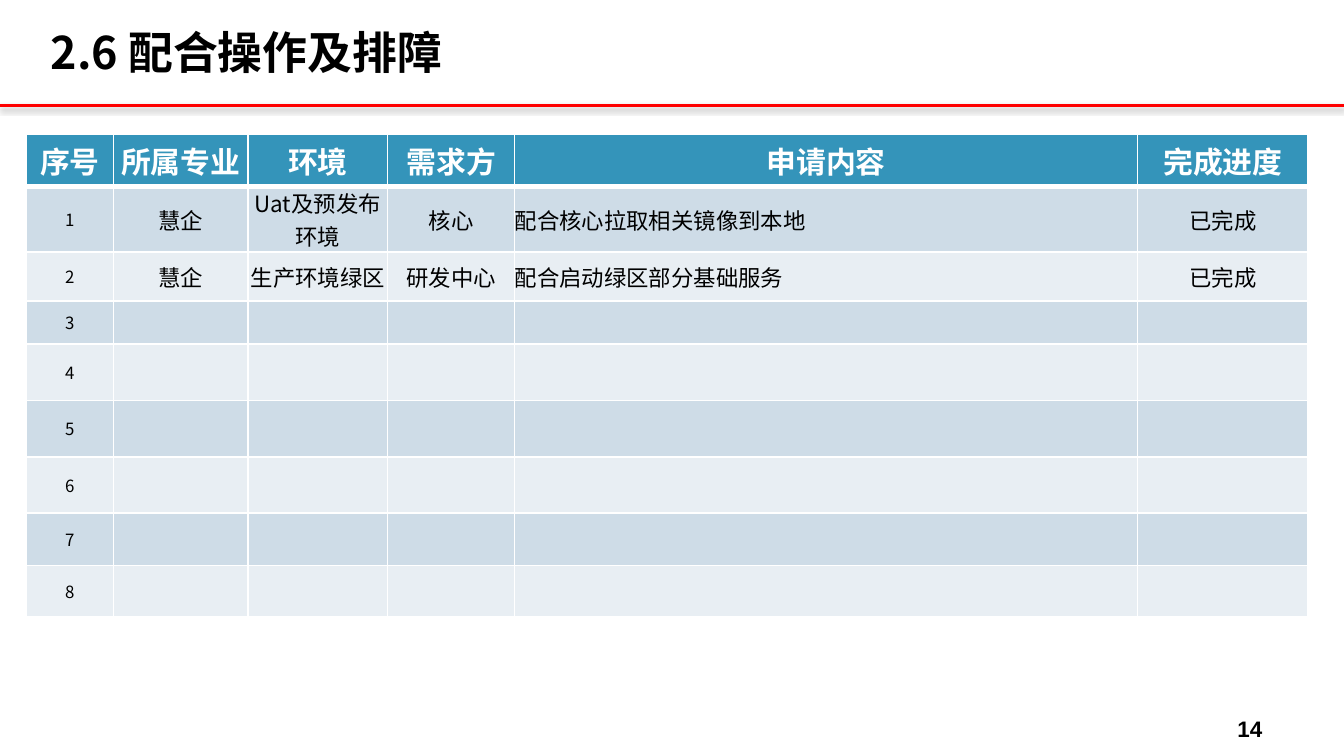
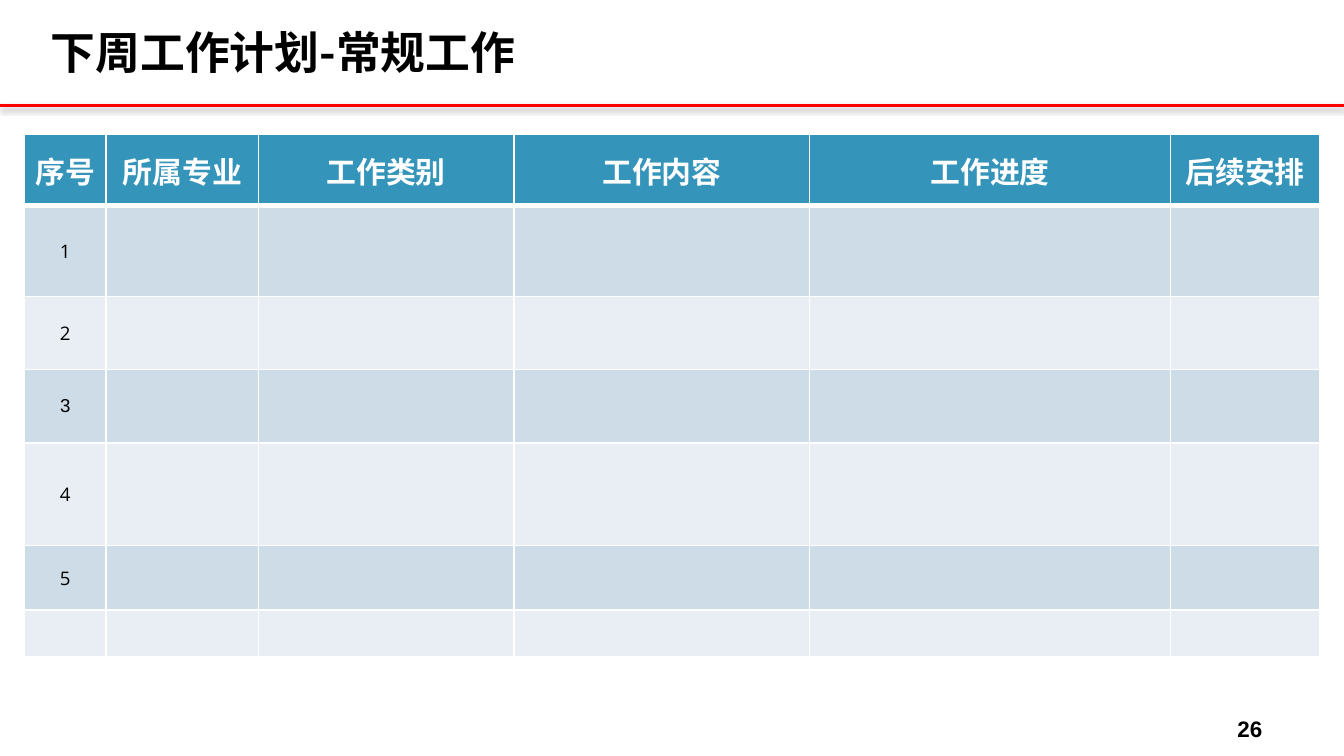
from dataclasses import dataclass

from lxml import etree
from pptx import Presentation
from pptx import util as u
from pptx.dml import color
from pptx.enum import shapes, text
from pptx.oxml import ns


@dataclass(frozen=True)
class Theme:
    ink: str = "000000"
    paper: str = "FFFFFF"
    rule: str = "FF0000"
    header: str = "3494BA"
    bands: tuple = ("CEDCE7", "E8EEF3")
    cjk: str = "Noto Sans CJK SC"
    latin: str = "Open Sans"
    plain: str = "Arial"
    title_size: float = 24
    header_size: float = 16
    body_size: float = 12
    page_size: float = 12
    rule_width: float = 1.5
    grid_width: float = 1
    header_edge: float = 3


theme = Theme()
deck = Presentation()
deck.slide_width = u.Inches(10)
deck.slide_height = deck.slide_width * 9 // 16
unit = deck.slide_width / 100


def span(*cells):
    return [u.Emu(round(cell * unit)) for cell in cells]


def write(frame, words, size, font=theme.cjk, ink=theme.ink, bold=False,
          align=text.PP_ALIGN.CENTER, anchor=text.MSO_ANCHOR.MIDDLE, hang=0):
    frame.word_wrap = True
    frame.vertical_anchor = anchor
    line = frame.paragraphs[0]
    line.alignment = align
    if hang:
        indent = line._p.get_or_add_pPr()
        indent.set("marL", str(span(hang)[0]))
        indent.set("indent", str(span(-hang)[0]))
    if not words:
        etree.SubElement(line._p, ns.qn("a:endParaRPr"), sz=str(int(size * 100)))
        return
    run = line.add_run()
    run.text = words
    run.font.size = u.Pt(size)
    run.font.name = font
    run.font.bold = bold
    run.font.color.rgb = color.RGBColor.from_string(ink)
    east = etree.SubElement(run._r.get_or_add_rPr(), ns.qn("a:ea"))
    east.set("typeface", theme.cjk)


pages = [
    dict(
        title="2.6 配合操作及排障", number="14", left=1.95,
        columns=[6.5, 10, 10.4, 9.45, 46.35, 12.7],
        rows=[3.9, 4.85, 3.65, 3.2, 4.2, 4.2, 4.2, 3.9, 3.85],
        headings=["序号", "所属专业", "环境", "需求方", "申请内容", "完成进度"],
        entries=[
            ["慧企", "Uat及预发布环境", "核心", "配合核心拉取相关镜像到本地", "已完成"],
            ["慧企", "生产环境绿区", "研发中心", "配合启动绿区部分基础服务", "已完成"],
        ],
        numbered=8, index_size=9, index_font=theme.cjk, index_exceptions={},
    ),
    dict(
        title="下周工作计划-常规工作", number="26", left=1.8,
        columns=[6.1, 11.35, 19, 22, 26.85, 11.1],
        rows=[5.3, 6.75, 5.45, 5.45, 7.65, 4.8, 3.45],
        headings=["序号", "所属专业", "工作类别", "工作内容", "工作进度", "后续安排"],
        entries=[],
        numbered=5, index_size=10, index_font=theme.latin,
        index_exceptions={3: theme.plain},
    ),
]

for page in pages:
    slide = deck.slides.add_slide(deck.slide_layouts[6])
    slide.background.fill.solid()
    slide.background.fill.fore_color.rgb = color.RGBColor.from_string(theme.paper)

    rule = slide.shapes.add_connector(
        shapes.MSO_CONNECTOR.STRAIGHT, *span(0, 7.84, 100, 7.84))
    rule.line.color.rgb = color.RGBColor.from_string(theme.rule)
    rule.line.width = u.Pt(theme.rule_width)
    effects = etree.SubElement(rule._element.spPr, ns.qn("a:effectLst"))
    shadow = etree.SubElement(
        effects, ns.qn("a:outerShdw"), blurRad=str(u.Pt(3.1)), dist=str(u.Pt(1.6)),
        dir="5400000", algn="t", rotWithShape="0")
    shade = etree.SubElement(shadow, ns.qn("a:srgbClr"), val=theme.ink)
    etree.SubElement(shade, ns.qn("a:alpha"), val="38000")

    title = slide.shapes.add_textbox(*span(2.8, 1.2, 78.3, 5.3))
    write(title.text_frame, page["title"], theme.title_size, bold=True,
          align=text.PP_ALIGN.LEFT, hang=4)

    number = slide.shapes.add_textbox(*span(89.85, 52.75, 6.3, 2.4))
    write(number.text_frame, page["number"], theme.page_size, font=theme.plain,
          bold=True, anchor=text.MSO_ANCHOR.TOP)

    columns, rows = page["columns"], page["rows"]
    schedule = slide.shapes.add_table(
        len(rows), len(columns), *span(page["left"], 10, sum(columns), sum(rows))).table
    schedule.first_row = schedule.horz_banding = False
    for column, width in zip(schedule.columns, span(*columns)):
        column.width = width
    for row, height in zip(schedule.rows, span(*rows)):
        row.height = height

    for r in range(len(rows)):
        for c in range(len(columns)):
            cell = schedule.cell(r, c)
            cell.margin_left = cell.margin_right = cell.margin_top = cell.margin_bottom = 0
            cell.vertical_anchor = text.MSO_ANCHOR.MIDDLE
            for side in "LRTB":
                heavy = (r == 0 and side == "B") or (r == 1 and side == "T")
                width = theme.header_edge if heavy else theme.grid_width
                edge = etree.SubElement(
                    cell._tc.get_or_add_tcPr(), ns.qn("a:ln" + side), w=str(u.Pt(width)))
                paint = etree.SubElement(edge, ns.qn("a:solidFill"))
                etree.SubElement(paint, ns.qn("a:srgbClr"), val=theme.paper)
            cell.fill.solid()
            band = theme.bands[(r - 1) % 2] if r else theme.header
            cell.fill.fore_color.rgb = color.RGBColor.from_string(band)

            if r == 0:
                write(cell.text_frame, page["headings"][c], theme.header_size,
                      font=theme.latin, ink=theme.paper, bold=True)
            elif c == 0:
                write(cell.text_frame, str(r) if r <= page["numbered"] else "",
                      page["index_size"],
                      font=page["index_exceptions"].get(r, page["index_font"]))
            else:
                entry = page["entries"][r - 1][c - 1] if r <= len(page["entries"]) else ""
                aligned = text.PP_ALIGN.LEFT if c == 4 else text.PP_ALIGN.CENTER
                write(cell.text_frame, entry, theme.body_size, align=aligned)

deck.save("out.pptx")
